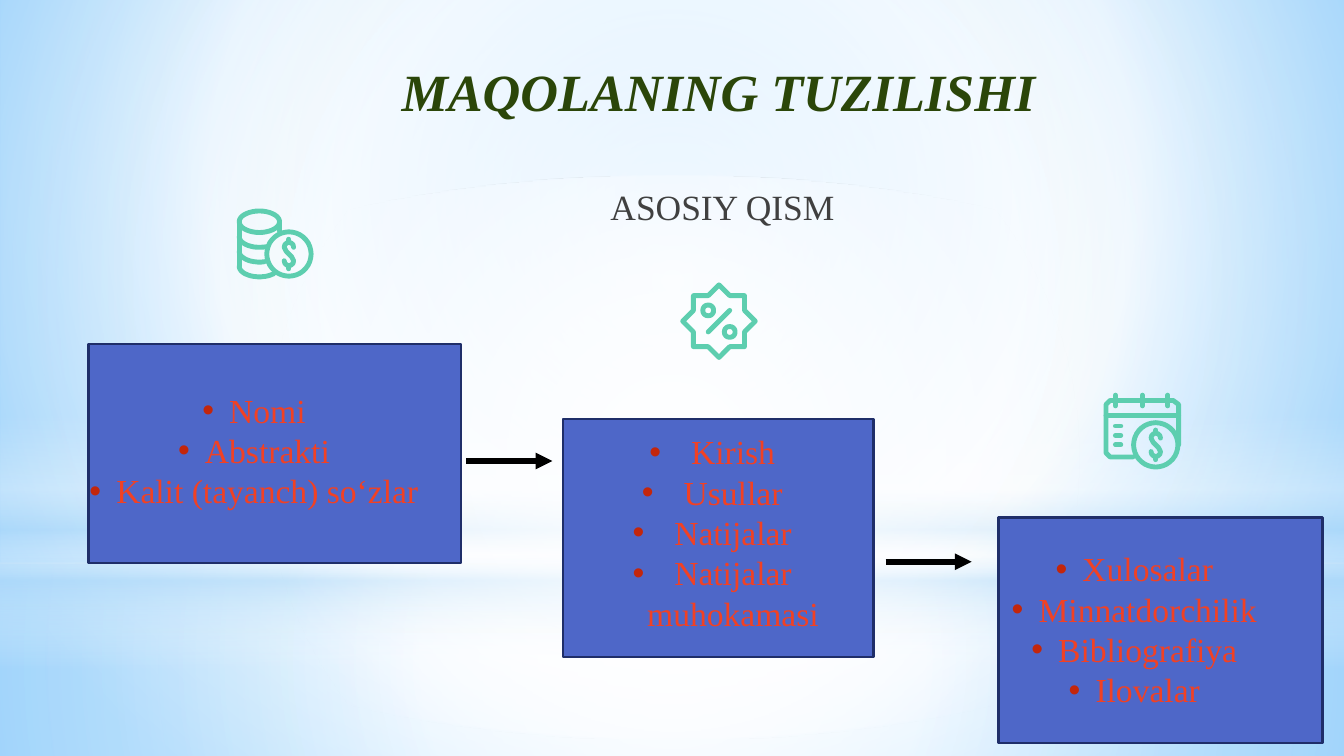
import math
import pptx
import pptx.dml.color
import pptx.enum.shapes
import pptx.enum.text
import pptx.oxml
import pptx.oxml.ns
import pptx.util

Inches, Pt = pptx.util.Inches, pptx.util.Pt
qn = pptx.oxml.ns.qn
SHAPE = pptx.enum.shapes.MSO_SHAPE
FONT = "Times New Roman"
CENTER = (50, 50, 50, 50)
UNITS = 1000

BACKGROUND = [(0, "9ED5FF", 100), (60, "FFFFFF", 100), (100, "5BB9FF", 100)]
GLOWS = [
    (SHAPE.RECTANGLE, (0, 4.19, 10, 1.44), CENTER,
     [(0, "FFFFFF", 91), (37, "FFFFFF", 76), (100, "B4DCFA", 79)]),
    (SHAPE.RECTANGLE, (0, 0, 10, 4.19), CENTER,
     [(0, "FFFFFF", 89), (48, "FFFFFF", 62), (100, "B4DCFA", 79)]),
    (SHAPE.RECTANGLE, (0, 3.09, 10, 1.88), None,
     [(0, "FFFFFF", 0), (29, "FFFFFF", 30), (45, "B4DCFA", 40),
      (55, "FFFFFF", 26), (65, "B4DCFA", 60), (100, "FFFFFF", 0)]),
    (SHAPE.OVAL, (0, 1.31, 10, 4.19), CENTER,
     [(0, "FFFFFF", 100), (56, "FFFFFF", 0)]),
]
TITLE = "MAQOLANING TUZILISHI"
SUBTITLE = "ASOSIY QISM"
SECTIONS = [
    ((0.66, 2.56, 2.77, 1.63), (0.48, 2.56, 2.77, 1.58), (0.25, -0.2),
     ["Nomi", "Abstrakti", "Kalit (tayanch) soʻzlar"]),
    ((4.19, 3.12, 2.31, 1.77), (4.01, 3.12, 2.58, 1.68), (0.31, -0.31),
     ["Kirish", "Usullar", "Natijalar", "Natijalar muhokamasi"]),
    ((7.43, 3.85, 2.41, 1.68), (7.13, 3.99, 2.57, 1.38), (0.25, -0.2),
     ["Xulosalar", "Minnatdorchilik", "Bibliografiya", "Ilovalar"]),
]
ARROWS = [(3.47, 3.43), (6.59, 4.18)]
ARROW_LENGTH = 0.64


def rgb(value):
    return pptx.dml.color.RGBColor.from_string(value)


def add_child(parent, tag, **attrs):
    child = parent.makeelement(qn(tag), {k: str(v) for k, v in attrs.items()})
    parent.append(child)
    return child


def set_gradient(fill, owner, stops, focus):
    fill.gradient()
    grad = owner.find(".//" + qn("a:gradFill"))
    for child in list(grad):
        grad.remove(child)
    gs_list = add_child(grad, "a:gsLst")
    for position, color, alpha in stops:
        gs = add_child(gs_list, "a:gs", pos=position * 1000)
        clr = add_child(gs, "a:srgbClr", val=color)
        add_child(clr, "a:alpha", val=alpha * 1000)
    if focus:
        sides = {side: v * 1000 for side, v in zip("ltrb", focus)}
        add_child(add_child(grad, "a:path", path="circle"), "a:fillToRect", **sides)
    else:
        add_child(grad, "a:lin", ang=5400000, scaled=0)


def add_box(kind, box):
    sp = slide.shapes.add_shape(kind, *map(Inches, box))
    sp.shadow.inherit = False
    return sp


def place_text(sp, box, lines, size, color, bold=False, italic=False, indent=None):
    slide.shapes._spTree.append(sp._element)
    sp.left, sp.top, sp.width, sp.height = map(Inches, box)
    tf = sp.text_frame
    tf.word_wrap = True
    tf.auto_size = pptx.enum.text.MSO_AUTO_SIZE.NONE
    tf.vertical_anchor = pptx.enum.text.MSO_ANCHOR.MIDDLE
    tf.margin_left = tf.margin_right = tf.margin_top = tf.margin_bottom = Inches(0.1)
    for i, line in enumerate(lines):
        p = tf.add_paragraph() if i else tf.paragraphs[0]
        p.alignment = pptx.enum.text.PP_ALIGN.CENTER
        p.space_before = Pt(0)
        if indent:
            pPr = p._p.get_or_add_pPr()
            pPr.set("marL", str(Inches(indent[0])))
            pPr.set("indent", str(Inches(indent[1])))
            add_child(add_child(pPr, "a:buClr"), "a:srgbClr", val="C3260C")
            add_child(pPr, "a:buFont", typeface="Arial")
            add_child(pPr, "a:buChar", char="•")
        r = p.add_run()
        r.text = line
        r.font.name, r.font.size = FONT, Pt(size)
        r.font.bold, r.font.italic = bold, italic
        r.font.color.rgb = rgb(color)


def break_after(p, size):
    p.add_line_break()
    for rPr in (add_child(p._p[-1], "a:rPr", sz=size * 100),
                add_child(p._p, "a:endParaRPr", sz=size * 100)):
        add_child(rPr, "a:latin", typeface=FONT)


def arc(cx, cy, rx, ry, start=0, end=360):
    angles = [math.radians(start + (end - start) * i / 36) for i in range(37)]
    return [(cx + rx * math.cos(a), cy + ry * math.sin(a)) for a in angles]


def dollar_coin(cx, cy):
    half = [(0.035, -0.05), (0.03, -0.07), (0.015, -0.083), (0, -0.087),
            (-0.015, -0.083), (-0.03, -0.07), (-0.035, -0.05), (-0.02, -0.02)]
    curve = half + [(-x, -y) for x, y in reversed(half)]
    strokes = [curve, [(0, -0.11), (0, -0.09)], [(0, 0.09), (0, 0.11)]]
    return [arc(cx, cy, 0.165, 0.165)] + [[(cx + x, cy + y) for x, y in s] for s in strokes]


def coins_icon():
    rims = [arc(1.93, y, 0.15, 0.08, 180, end)
            for y, end in [(1.76, 70), (1.87, 75), (1.98, 45)]]
    sides = [[(1.78, 1.65), (1.78, 1.98)], [(2.08, 1.65), (2.08, 1.72)]]
    return [arc(1.93, 1.65, 0.15, 0.08)] + rims + sides + dollar_coin(2.15, 1.89)


def percent_icon():
    cx, cy = 5.35, 2.39
    quarter = [(0, -0.27), (0.08, -0.19), (0.19, -0.19), (0.19, -0.08)]
    star = []
    for _ in range(4):
        star += [(cx + x, cy + y) for x, y in quarter]
        quarter = [(-y, x) for x, y in quarter]
    rings = [arc(cx + d, cy + d, 0.04, 0.04) for d in (-0.08, 0.08)]
    return [star + star[:1], [(5.27, 2.47), (5.43, 2.31)]] + rings


def calendar_icon():
    frame = [(8.43, 3.4), (8.26, 3.4), (8.23, 3.37), (8.23, 3.01), (8.26, 2.98),
             (8.73, 2.98), (8.77, 3.01), (8.77, 3.31)]
    hooks = [[(x, 2.94), (x, 3.02)] for x in (8.3, 8.5, 8.69)]
    dates = [[(8.3, y), (8.34, y)] for y in (3.17, 3.24, 3.31)]
    return [frame, [(8.23, 3.09), (8.77, 3.09)]] + hooks + dates + dollar_coin(8.6, 3.31)


def draw_icon(strokes):
    strokes = [[(x * UNITS, y * UNITS) for x, y in stroke] for stroke in strokes]
    builder = slide.shapes.build_freeform(*strokes[0][0], scale=Inches(1) / UNITS)
    builder.add_line_segments(strokes[0][1:], close=False)
    for stroke in strokes[1:]:
        builder.move_to(*stroke[0])
        builder.add_line_segments(stroke[1:], close=False)
    sp = builder.convert_to_shape()
    sp.shadow.inherit = False
    sp.fill.background()
    sp.line.color.rgb = rgb("5DCEAF")
    sp.line.width = Pt(2.6)
    ln = sp.line._get_or_add_ln()
    ln.set("cap", "rnd")
    add_child(ln, "a:round")


prs = pptx.Presentation()
prs.slide_width, prs.slide_height = Inches(10), Inches(10 * 9 / 16)
slide = prs.slides.add_slide(prs.slide_layouts.get_by_name("Comparison"))
subtitle, *lists = [sp for sp in slide.placeholders if sp.placeholder_format.idx in (1, 2, 3, 4)]
set_gradient(slide.background.fill, slide._element, BACKGROUND, (20, 10, 20, 60))

for kind, box, focus, stops in GLOWS:
    sp = add_box(kind, box)
    set_gradient(sp.fill, sp._element, stops, focus)
    sp.line.fill.background()

title = slide.shapes.title
place_text(title, (2.23, 0.45, 6.23, 0.91), [TITLE], 28, "2B4609", True, True)
break_after(title.text_frame.paragraphs[0], 28)
place_text(subtitle, (4.09, 1.38, 2.57, 0.31), [SUBTITLE], 19, "404040")

for strokes in (percent_icon(), calendar_icon(), coins_icon()):
    draw_icon(strokes)

for x, y in ARROWS:
    cxn = slide.shapes.add_connector(
        pptx.enum.shapes.MSO_CONNECTOR.STRAIGHT,
        *map(Inches, (x, y, x + ARROW_LENGTH, y)))
    cxn.line.color.rgb = rgb("000000")
    cxn.line.width = Pt(3)
    add_child(cxn.line._get_or_add_ln(), "a:tailEnd", type="triangle")
    add_child(cxn._element.spPr, "a:effectLst")

for sp_list, (box, text_box, indent, items) in zip(lists, SECTIONS):
    sp = add_box(SHAPE.RECTANGLE, box)
    sp.fill.solid()
    sp.fill.fore_color.rgb = rgb("4E67C8")
    sp.line.color.rgb = rgb("1F2E69")
    sp.line.width = Pt(1.25)
    place_text(sp_list, text_box, items, 18, "F14124", indent=indent)

prs.save("out.pptx")
